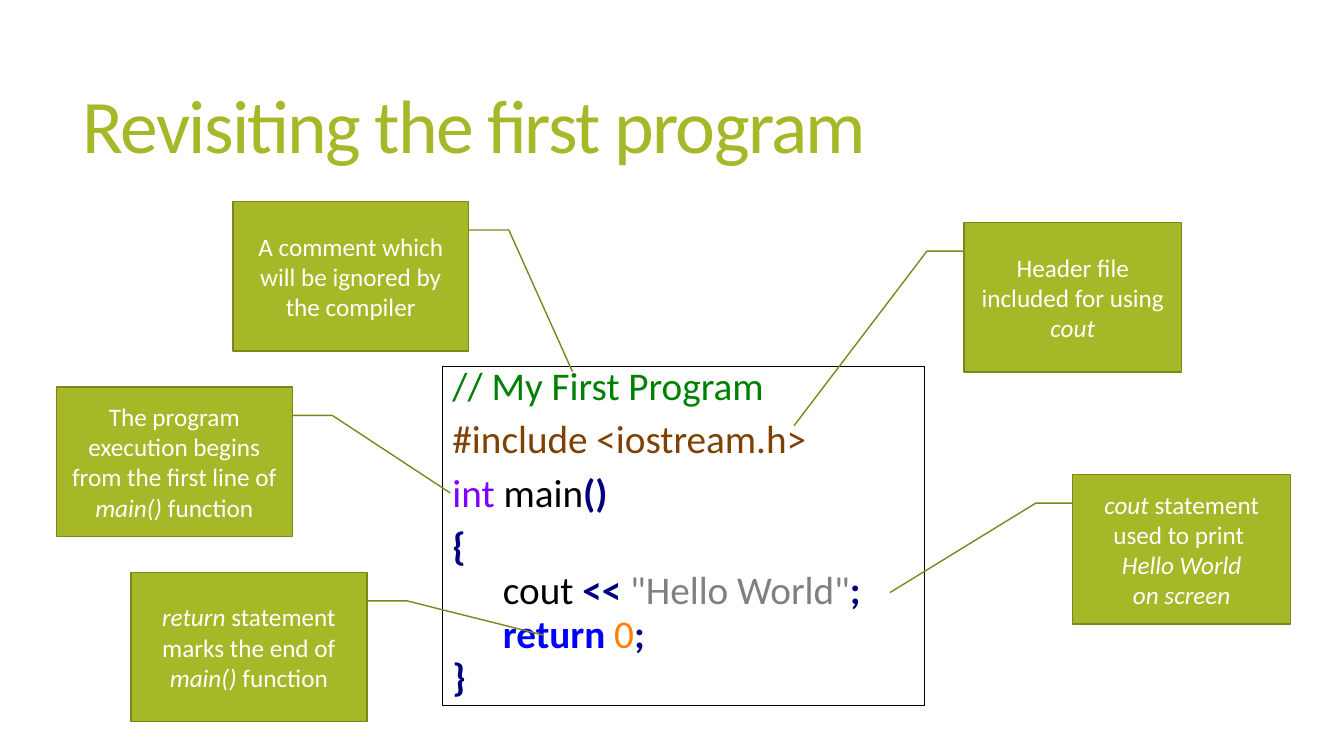
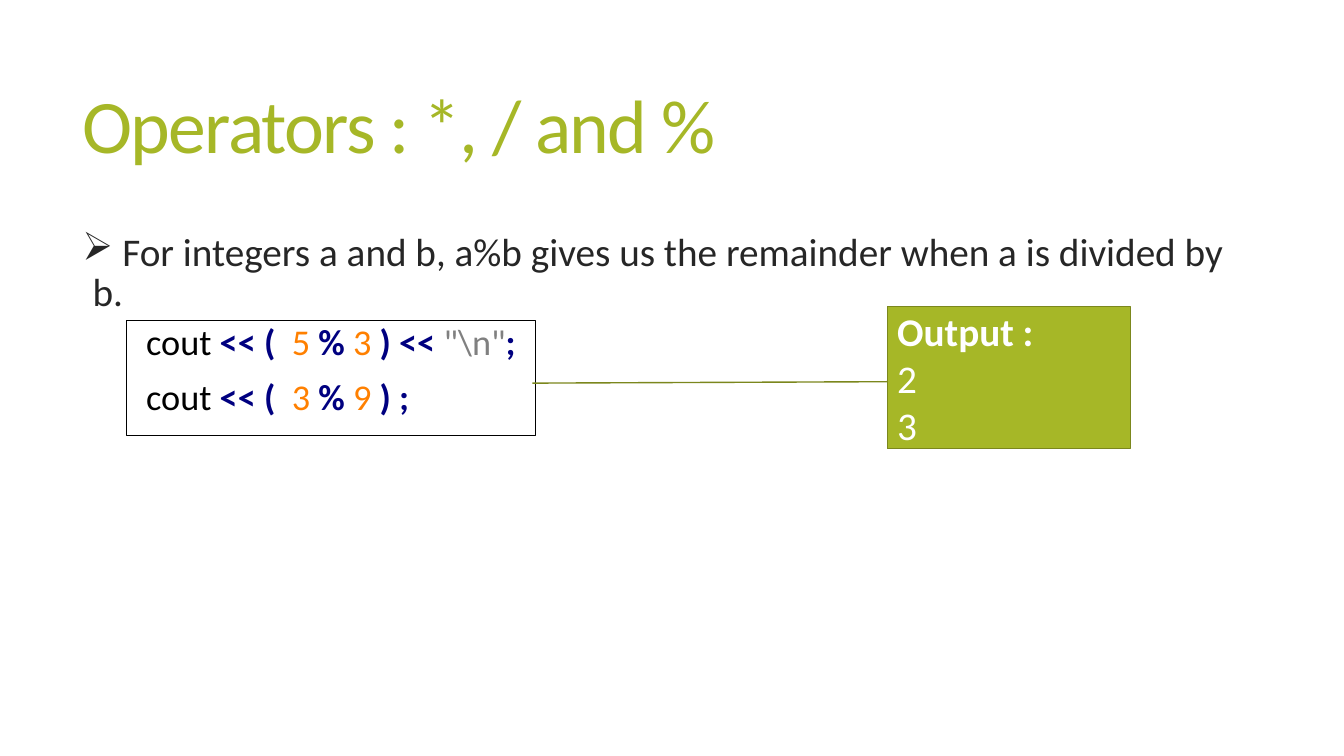
import collections
import pptx
import pptx.dml.color
import pptx.enum.shapes
import pptx.enum.text
import pptx.oxml.ns
import pptx.util
import lxml.etree

Style = collections.namedtuple("Style", "color bold italic", defaults=(False, False))
Box = collections.namedtuple("Box", "left top width height")


class Theme:
    """Colours, type sizes and token styles shared by the slides."""
    font = "Calibri"
    accent, accent_edge, frame = "A6B727", "7B871D", "000000"
    title_size, title_tracking = 54, -1.2
    text_size, note_size, sample_size = 28, 18, 25.9
    para_gap, nested_gap = 13, 6
    tight, snug = 0.75, 0.85
    hang = 0.1
    styles = {
        "title": Style("A6B727"), "body": Style("262626"),
        "note": Style("FFFFFF"), "term": Style("FFFFFF", italic=True),
        "heading": Style("FFFFFF", bold=True),
        "comment": Style("008000"), "directive": Style("804000"),
        "type": Style("8000FF"), "name": Style("000000"),
        "symbol": Style("000080", bold=True), "string": Style("808080"),
        "keyword": Style("0000FF", bold=True), "number": Style("FF8000"),
    }


deck = pptx.Presentation()
deck.slide_width = pptx.util.Inches(13.33)
deck.slide_height = pptx.util.Inches(7.5)
TITLE_BOX = Box(5.4, 5.2, 88.37, 24.13)
Anchor = pptx.enum.text.MSO_ANCHOR
Align = pptx.enum.text.PP_ALIGN
Preset = pptx.enum.shapes.MSO_SHAPE


def rgb(value):
    """Turn a hex string into a colour."""
    return pptx.dml.color.RGBColor.from_string(value)


def place(box):
    """Convert a box in percent of the slide to lengths."""
    across, down = deck.slide_width / 100, deck.slide_height / 100
    return (round(box.left * across), round(box.top * down),
            round(box.width * across), round(box.height * down))


def write(shape, lines, size, anchor=Anchor.TOP, align=Align.LEFT,
          spacing=None, gaps=None, tracking=0):
    """Fill a shape with lines of (text, style) runs and return the paragraphs."""
    frame = shape.text_frame
    frame.word_wrap = True
    frame.vertical_anchor = anchor
    for index, line in enumerate(lines):
        paragraph = frame.add_paragraph() if index else frame.paragraphs[0]
        paragraph.alignment = align
        if spacing:
            paragraph.line_spacing = spacing
        if gaps:
            paragraph.space_before = pptx.util.Pt(gaps[index])
        for text, style_name in line:
            style = Theme.styles[style_name]
            run = paragraph.add_run()
            run.text = text
            run.font.name = Theme.font
            run.font.size = pptx.util.Pt(size)
            run.font.color.rgb = rgb(style.color)
            run.font.bold = style.bold
            run.font.italic = style.italic
            if tracking:
                run.font._element.set("spc", str(round(tracking * 100)))
    return frame.paragraphs


def indent(paragraph, hanging=0, bullet=None):
    """Indent a paragraph, with an optional hanging bullet."""
    properties = paragraph._p.get_or_add_pPr()
    properties.set("marL", str(pptx.util.Inches(Theme.hang)))
    properties.set("indent", str(-pptx.util.Inches(hanging)))
    if bullet:
        mark = lxml.etree.SubElement(properties, pptx.oxml.ns.qn("a:buChar"))
        mark.set("char", bullet)


def titled_slide(title):
    """Add a blank slide with its title."""
    slide = deck.slides.add_slide(deck.slide_layouts[6])
    write(slide.shapes.add_textbox(*place(TITLE_BOX)), [[(title, "title")]],
          Theme.title_size, Anchor.MIDDLE, spacing=Theme.snug,
          tracking=Theme.title_tracking)
    return slide


def code_box(slide, box, lines, size, spacing, gaps):
    """Add a framed code listing and return its paragraphs."""
    listing = slide.shapes.add_shape(Preset.RECTANGLE, *place(box))
    listing.shadow.inherit = False
    listing.fill.background()
    listing.line.color.rgb = rgb(Theme.frame)
    listing.line.width = pptx.util.Pt(0.75)
    return write(listing, lines, size, spacing=spacing, gaps=gaps)


def callout(slide, preset, box, leader, lines, size, align, mirrored=False):
    """Add a callout whose leader runs through shares of its box."""
    note = slide.shapes.add_shape(preset, *place(box))
    note.shadow.inherit = False
    note.fill.solid()
    note.fill.fore_color.rgb = rgb(Theme.accent)
    note.line.color.rgb = rgb(Theme.accent_edge)
    note.line.width = pptx.util.Pt(1)
    for index, share in enumerate(leader):
        note.adjustments[index] = share
    if mirrored:
        note._element.spPr.xfrm.set("flipH", "1")
    write(note, lines, size, Anchor.MIDDLE, align)


def program_slide():
    """Build the annotated listing of the first program."""
    slide = titled_slide("Revisiting the first program")
    program = [
        [("// My First Program", "comment")],
        [("#include <iostream.h> ", "directive")],
        [("int ", "type"), ("main", "name"), ("()", "symbol")],
        [("{ ", "symbol")],
        [("\tcout ", "name"), ("<< ", "symbol"),
         ("\"Hello World\"", "string"), (";", "symbol")],
        [("\t", "name"), ("return ", "keyword"), ("0", "number"), ("; ", "symbol")],
        [("}", "symbol")],
    ]
    code_box(slide, Box(32.93, 48.53, 35.86, 44.8), program, Theme.text_size,
             Theme.tight, [Theme.para_gap] * 4 + [Theme.nested_gap] * 3)
    left_width, right_width, height = 17.55, 16.2, 19.73
    notes = [
        (17.33, 26.67, True, (1.14, -0.44),
         [[("A comment which will be ignored by the compiler", "note")]]),
        (71.72, 29.47, False, (1.36, -0.78),
         [[("Header file included for using ", "note"), ("cout", "term")]]),
        (4.2, 51.2, True, (0.71, -0.67),
         [[("The program execution begins from the first line of ", "note"),
           ("main()", "term"), (" function", "note")]]),
        (79.82, 62.8, False, (0.79, -0.84),
         [[("cout", "term"), (" statement used to print ", "note")],
          [("Hello World", "term")], [("on screen", "term")]]),
        (9.75, 75.73, True, (0.42, -0.75),
         [[("return", "term"), (" statement marks the end of ", "note"),
           ("main()", "term"), (" function", "note")]]),
    ]
    for left, top, mirrored, tip, lines in notes:
        width = left_width if mirrored else right_width
        callout(slide, Preset.LINE_CALLOUT_2, Box(left, top, width, height),
                (0.19, 0, 0.19, -0.17) + tip, lines, Theme.note_size,
                Align.CENTER, mirrored)


def operators_slide():
    """Build the remainder example with its output."""
    slide = titled_slide("Operators : *, / and %")
    rule = slide.shapes.add_textbox(*place(Box(5.4, 30.4, 88.37, 54.8)))
    sentence = " For integers a and b, a%b gives us the remainder when a is divided by b."
    for paragraph in write(rule, [[(sentence, "body")]], Theme.text_size,
                           spacing=Theme.snug, gaps=[Theme.para_gap]):
        indent(paragraph, Theme.hang, "\u27a2")
    endings = [
        ("5 ", "3 ", [(") << ", "symbol"), ("\"\\n\"", "string"), (";", "symbol")]),
        ("3 ", "9 ", [(") ; ", "symbol")]),
    ]
    sample = [[("cout ", "name"), ("<< (  ", "symbol"), (dividend, "number"),
               ("% ", "symbol"), (divisor, "number")] + ending
              for dividend, divisor, ending in endings]
    for paragraph in code_box(slide, Box(9.38, 42.4, 30.46, 15.2), sample,
                              Theme.sample_size, Theme.snug, [Theme.para_gap] * 2):
        indent(paragraph)
    output = [[("Output :", "heading")], [("2", "note")], [("3", "note")]]
    callout(slide, Preset.LINE_CALLOUT_1, Box(66.02, 40.53, 18.08, 18.8),
            (0.53, 0, 0.54, -1.46), output, Theme.text_size, Align.LEFT)


program_slide()
operators_slide()
deck.save("out.pptx")
